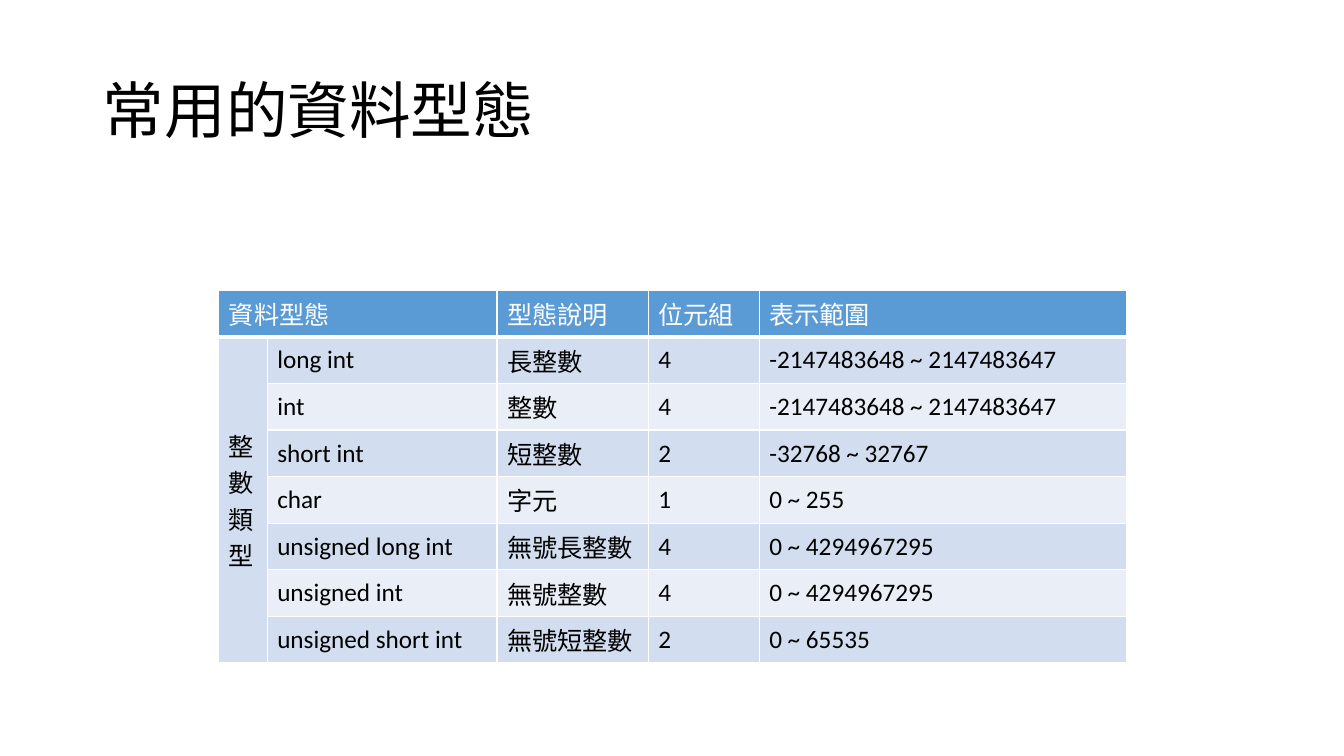
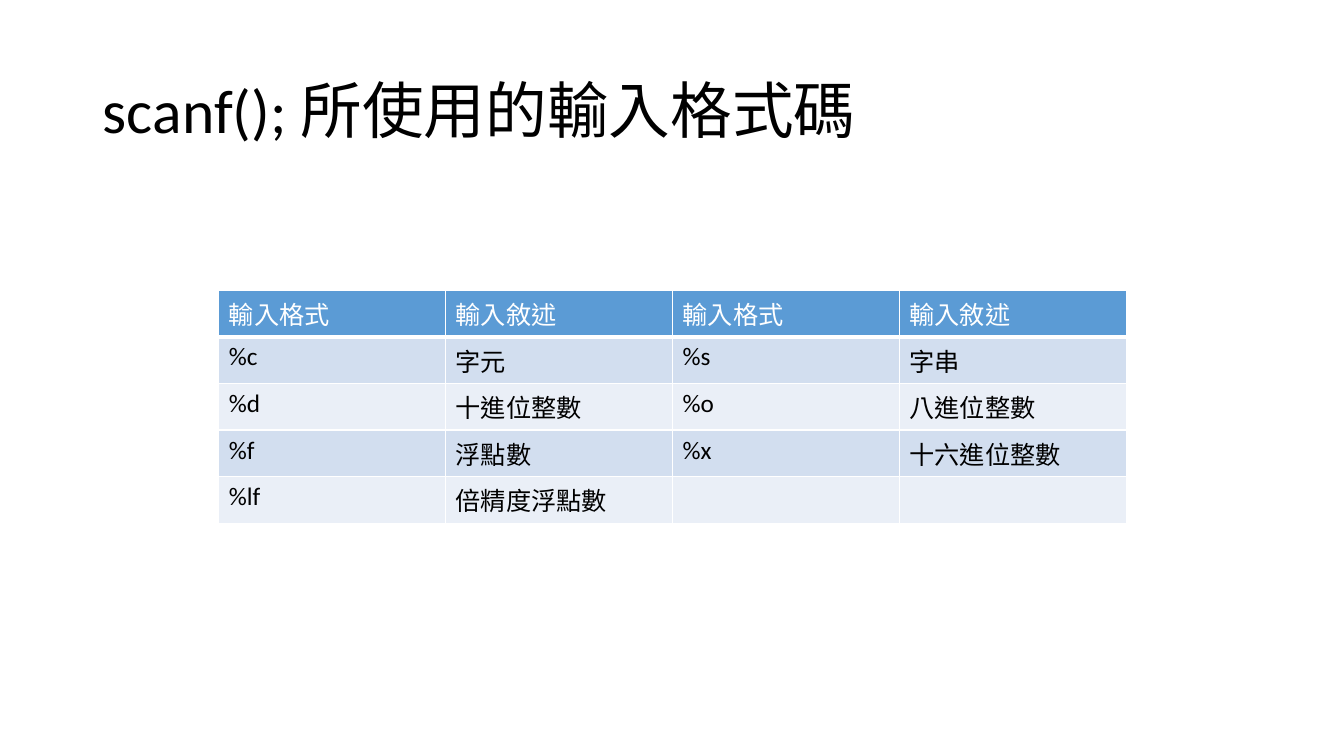
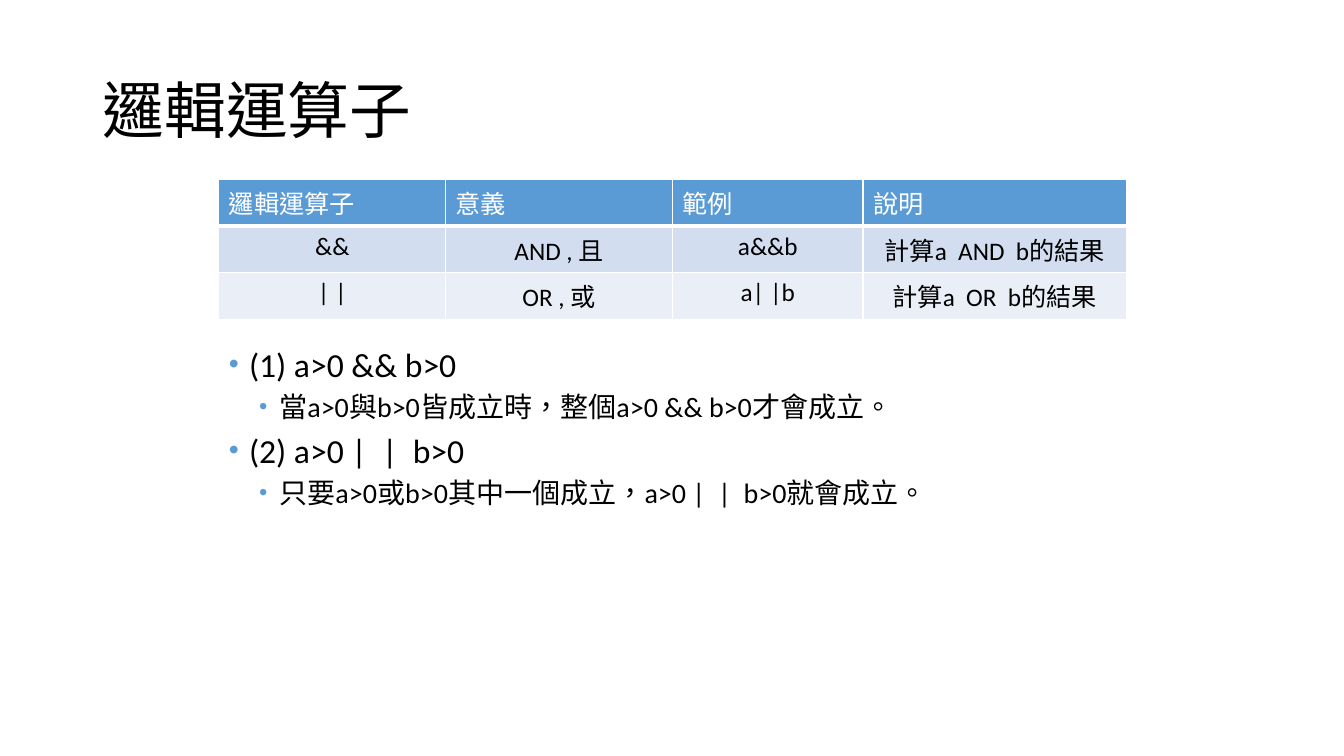
from lxml import etree
from pptx import Presentation
from pptx.dml.color import RGBColor
from pptx.enum.lang import MSO_LANGUAGE_ID
from pptx.enum.text import MSO_ANCHOR, MSO_AUTO_SIZE, PP_ALIGN
from pptx.oxml.ns import qn
from pptx.util import Emu, Pt

PX = 9144  # 100 px to the inch
LEFT, CENTER = PP_ALIGN.LEFT, PP_ALIGN.CENTER
TOP, MIDDLE = MSO_ANCHOR.TOP, MSO_ANCHOR.MIDDLE
NO_AUTOFIT = MSO_AUTO_SIZE.NONE
CHINESE = MSO_LANGUAGE_ID.TRADITIONAL_CHINESE

FONT = "Calibri"
BLACK, WHITE, BLUE = "000000", "FFFFFF", "5B9BD5"
BANDS = ("D2DEEF", "EAEFF7")
TITLE_LAYOUT, CONTENT_LAYOUT = 5, 1
TITLE_BOX = (92, 40, 1150, 145)
CONTENT_LEFT, CONTENT_WIDTH = 217, 900
ROW_HEIGHT = 41

DATA_TYPES = [
    ["資料型態", "", "型態說明", "位元組", "表示範圍"],
    ["整數\n類型", "long int", "長整數", "4", "-2147483648 ~ 2147483647"],
    ["", "int", "整數", "4", "-2147483648 ~ 2147483647"],
    ["", "short int", "短整數", "2", "-32768 ~ 32767"],
    ["", "char", "字元", "1", "0 ~ 255"],
    ["", "unsigned long int", "無號長整數", "4", "0 ~ 4294967295"],
    ["", "unsigned int", "無號整數", "4", "0 ~ 4294967295"],
    ["", "unsigned short int", "無號短整數", "2", "0 ~ 65535"],
]
INPUT_FORMATS = [
    ["輸入格式", "輸入敘述", "輸入格式", "輸入敘述"],
    ["%c", "字元", "%s", "字串"],
    ["%d", "十進位整數", "%o", "八進位整數"],
    ["%f", "浮點數", "%x", "十六進位整數"],
    ["%lf", "倍精度浮點數", "", ""],
]
LOGICAL_OPERATORS = [
    ["邏輯運算子", "意義", "範例", "說明"],
    ["&&", "AND , 且", "a&&b", "計算a  AND  b的結果"],
    ["| |", "OR , 或", "a| |b", "計算a  OR  b的結果"],
]
OPERATOR_EXAMPLES = [
    (0, "(1) a>0 && b>0"),
    (1, "當a>0與b>0皆成立時，整個a>0 && b>0才會成立。"),
    (0, "(2) a>0 |  |  b>0"),
    (1, "只要a>0或b>0其中一個成立，a>0 |  |  b>0就會成立。"),
]
LEVEL_SIZES = (24, 20)
LEVEL_INDENTS = (20, 50)
HANGING = 20


def px(length):
    return Emu(length * PX)


def rgb(color):
    return RGBColor.from_string(color)


def write(paragraph, text, size=18, color=BLACK, align=LEFT, spacing=None):
    paragraph.alignment = align
    paragraph.line_spacing = spacing
    if not text:
        return
    run = paragraph.add_run()
    run.text = text
    font = run.font
    font.name, font.size, font.bold = FONT, Pt(size), False
    font.color.rgb = rgb(color)
    font.language_id = CHINESE


def place(shape, left, top, width, height):
    shape.left, shape.top = px(left), px(top)
    shape.width, shape.height = px(width), px(height)


def add_titled_slide(prs, layout, title):
    slide = prs.slides.add_slide(prs.slide_layouts[layout])
    heading = slide.shapes.title
    place(heading, *TITLE_BOX)
    frame = heading.text_frame
    frame.vertical_anchor = MIDDLE
    frame.auto_size = NO_AUTOFIT
    write(frame.paragraphs[0], title, size=44, spacing=0.9)
    return slide


def set_borders(cell, bottom=1):
    """Draw white cell borders; the lines must precede the fill in the XML."""
    properties = cell._tc.get_or_add_tcPr()
    widths = {"a:lnL": 1, "a:lnR": 1, "a:lnT": 1, "a:lnB": bottom}
    for position, (tag, width) in enumerate(widths.items()):
        line = etree.Element(qn(tag), w=str(Pt(width)))
        fill = etree.SubElement(line, qn("a:solidFill"))
        etree.SubElement(fill, qn("a:srgbClr"), val=WHITE)
        properties.insert(position, line)


def add_grid(slide, top, widths, rows, anchor=TOP, body_align=LEFT):
    frame = slide.shapes.add_table(
        len(rows), len(widths), px(CONTENT_LEFT), px(top),
        px(CONTENT_WIDTH), px(ROW_HEIGHT * len(rows)))
    table = frame.table
    for column, width in zip(table.columns, widths):
        column.width = px(width)
    for r, row in enumerate(rows):
        header = r == 0
        for c, text in enumerate(row):
            cell = table.cell(r, c)
            cell.vertical_anchor = anchor
            cell.fill.solid()
            cell.fill.fore_color.rgb = rgb(BLUE if header else BANDS[(r - 1) % 2])
            set_borders(cell, bottom=3 if header else 1)
            for n, line in enumerate(text.split("\n")):
                frame = cell.text_frame
                paragraph = frame.add_paragraph() if n else frame.paragraphs[0]
                write(paragraph, line, color=WHITE if header else BLACK,
                      align=LEFT if header else body_align)
    return table


def set_bullet(paragraph, level):
    paragraph.level = level
    properties = paragraph._p.get_or_add_pPr()
    properties.set("marL", str(px(LEVEL_INDENTS[level])))
    properties.set("indent", str(px(-HANGING)))
    color = etree.SubElement(properties, qn("a:buClr"))
    etree.SubElement(color, qn("a:srgbClr"), val=BLUE)
    etree.SubElement(properties, qn("a:buSzPct"), val="85000")
    etree.SubElement(properties, qn("a:buFont"), typeface="Arial")
    etree.SubElement(properties, qn("a:buChar"), char="•")


def fill_bullets(body, top, height, items):
    place(body, CONTENT_LEFT, top, CONTENT_WIDTH, height)
    frame = body.text_frame
    frame.auto_size = NO_AUTOFIT
    for n, (level, text) in enumerate(items):
        paragraph = frame.add_paragraph() if n else frame.paragraphs[0]
        write(paragraph, text, size=LEVEL_SIZES[level])
        set_bullet(paragraph, level)


def main():
    prs = Presentation()
    prs.slide_width, prs.slide_height = px(1333), px(750)

    slide = add_titled_slide(prs, TITLE_LAYOUT, "常用的資料型態")
    types = add_grid(slide, 288, (48, 228, 150, 110, 364), DATA_TYPES, anchor=MIDDLE)
    types.cell(0, 0).merge(types.cell(0, 1))
    types.cell(1, 0).merge(types.cell(len(DATA_TYPES) - 1, 0))

    slide = add_titled_slide(prs, TITLE_LAYOUT, "scanf(); 所使用的輸入格式碼")
    add_grid(slide, 288, (225,) * 4, INPUT_FORMATS)

    slide = add_titled_slide(prs, CONTENT_LAYOUT, "邏輯運算子")
    add_grid(slide, 178, (225, 225, 189, 261), LOGICAL_OPERATORS, body_align=CENTER)
    fill_bullets(slide.placeholders[1], 336, 373, OPERATOR_EXAMPLES)

    prs.save("out.pptx")


if __name__ == "__main__":
    main()
